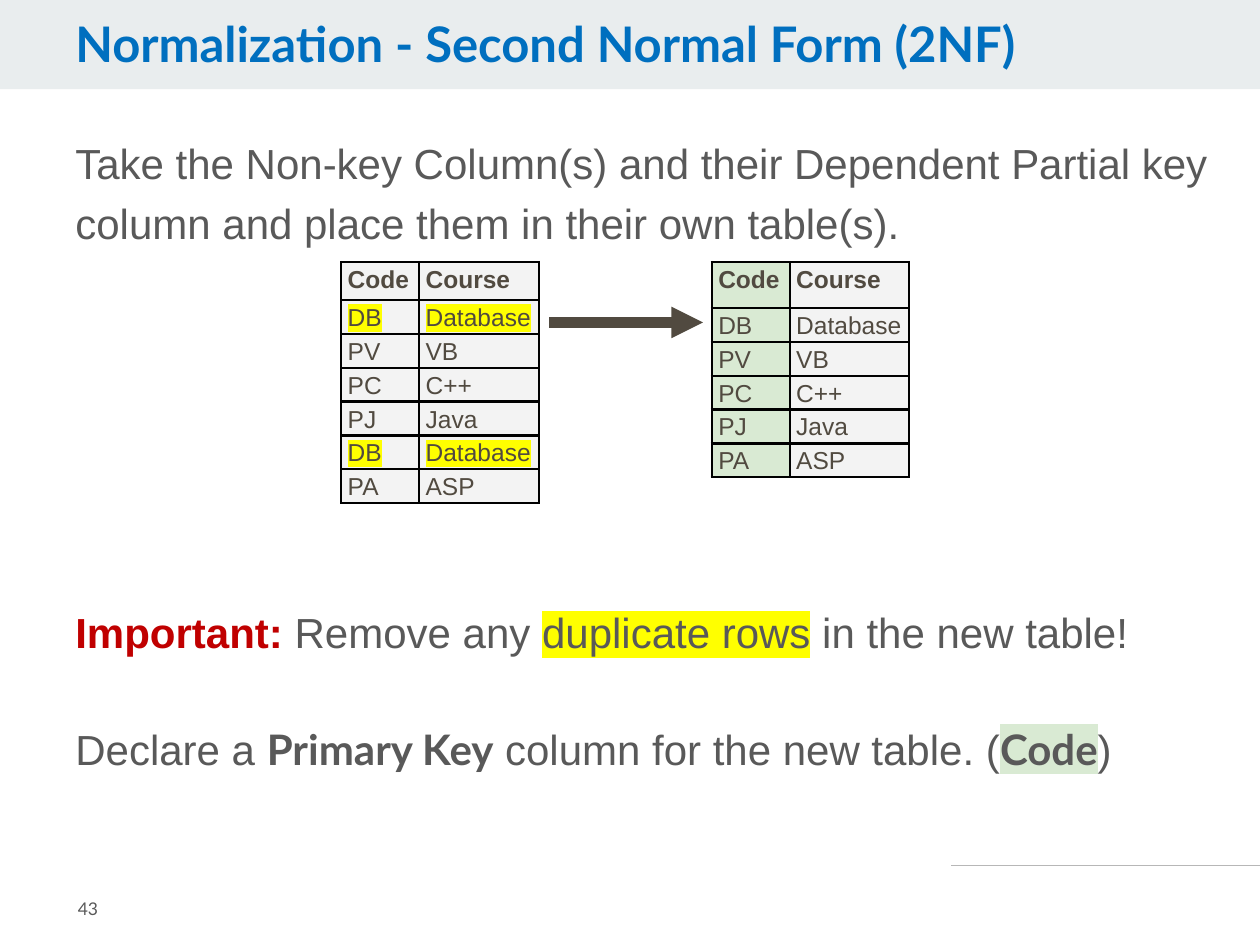
import pptx
import pptx.dml.color
import pptx.enum.shapes
import pptx.enum.text
import pptx.util
from lxml import etree
from pptx.oxml.ns import qn
from pptx.util import Cm, Pt

BLUE, GREY, RED, BROWN = "006FBF", "595959", "C00000", "514A40"
YELLOW, GREEN, CELL_GREY = "FFFF00", "D9EAD3", "F3F3F3"
COLUMN_WIDTHS = (1.57, 2.41)
ROW_HEIGHT = 0.64


def color(hex_value):
    return pptx.dml.color.RGBColor.from_string(hex_value)


def set_font(font, name=None, size=None, hex_value=None, bold=None):
    if name:
        font.name = name
    if size:
        font.size = Pt(size)
    if hex_value:
        font.color.rgb = color(hex_value)
    if bold is not None:
        font.bold = bold


def add_run(paragraph, text, highlight=None, **font):
    run = paragraph.add_run()
    run.text = text
    if highlight:
        mark = etree.Element(qn("a:highlight"))
        etree.SubElement(mark, qn("a:srgbClr"), val=highlight)
        run.font._element.insert(0, mark)
    set_font(run.font, **font)


def add_text_frame(slide, left, top, width, height, margin=0.13):
    """Add a wrapping text box; lengths in cm."""
    box = slide.shapes.add_textbox(Cm(left), Cm(top), Cm(width), Cm(height))
    frame = box.text_frame
    frame.word_wrap = True
    frame.margin_left = frame.margin_right = Cm(0.25)
    frame.margin_top = frame.margin_bottom = Cm(margin)
    return frame


def add_line(slide, left, top, width, hex_value, weight, arrow=False):
    line = slide.shapes.add_connector(
        pptx.enum.shapes.MSO_CONNECTOR.STRAIGHT,
        Cm(left), Cm(top), Cm(left + width), Cm(top))
    line.line.color.rgb = color(hex_value)
    line.line.width = Pt(weight)
    if arrow:
        etree.SubElement(line.line._get_or_add_ln(), qn("a:tailEnd"), type="triangle")
    etree.SubElement(line._element.spPr, qn("a:effectLst"))


def add_header(slide, left, top, width, height):
    band = slide.shapes.add_shape(
        pptx.enum.shapes.MSO_SHAPE.RECTANGLE, Cm(left), Cm(top), Cm(width), Cm(height))
    band.shadow.inherit = False
    band.fill.solid()
    band.fill.fore_color.rgb = color("E9EDEE")
    band.line.fill.background()
    title = add_text_frame(slide, left + 1.27, top + 0.28, 20, 1.4).paragraphs[0]
    title.line_spacing = 0.9
    set_font(title.font, "Lato", 28, BLUE, True)
    add_run(title, "Normalization - Second Normal Form (2NF)")


def add_body(slide, left, top, width, height):
    """Add the three statements, leaving room for the tables after the first."""
    lato = {"name": "Lato", "bold": True}
    statements = [
        (0, [("Take the Non-key Column(s) and their Dependent Partial key "
              "column and place them in their own table(s).", {})]),
        (199, [("Important: ", {"hex_value": RED, "bold": True}),
               ("Remove any ", {}),
               ("duplicate rows", {"highlight": YELLOW}),
               (" in the new table!", {})]),
        (32, [("Declare a ", {}),
              ("Primary Key", lato),
              (" column for the new table. (", {}),
              ("Code", {**lato, "highlight": GREEN}),
              (")", {})]),
    ]
    frame = add_text_frame(slide, left, top, width, height)
    for index, (space, runs) in enumerate(statements):
        paragraph = frame.add_paragraph() if index else frame.paragraphs[0]
        paragraph.line_spacing = 1.2
        if space:
            paragraph.space_before = Pt(space)
        set_font(paragraph.font, "Arial", 24, GREY)
        for text, style in runs:
            add_run(paragraph, text, **style)


def add_borders(cell):
    properties = cell._tc.get_or_add_tcPr()
    for side in ("lnL", "lnR", "lnT", "lnB"):
        border = etree.SubElement(properties, qn(f"a:{side}"), w=str(Pt(1.5)))
        fill = etree.SubElement(border, qn("a:solidFill"))
        etree.SubElement(fill, qn("a:srgbClr"), val="000000")


def add_course_table(slide, left, top, header_height, courses, key_fill, marked=()):
    """Add a Code/Course table, highlighting rows whose code is in marked."""
    rows = [("Code", "Course")] + courses
    heights = [header_height] + [ROW_HEIGHT] * len(courses)
    table = slide.shapes.add_table(
        len(rows), 2, Cm(left), Cm(top), Cm(sum(COLUMN_WIDTHS)), Cm(sum(heights))).table
    table.first_row = table.horz_banding = False
    for column, width in zip(table.columns, COLUMN_WIDTHS):
        column.width = Cm(width)
    for row_index, values in enumerate(rows):
        table.rows[row_index].height = Cm(heights[row_index])
        for column_index, text in enumerate(values):
            cell = table.cell(row_index, column_index)
            cell.margin_left = Cm(0.13)
            cell.margin_right = cell.margin_top = cell.margin_bottom = 0
            add_borders(cell)
            cell.fill.solid()
            cell.fill.fore_color.rgb = color(CELL_GREY if column_index else key_fill)
            paragraph = cell.text_frame.paragraphs[0]
            paragraph.line_spacing = 1.15
            set_font(paragraph.font, "Arial", 14, BROWN, row_index == 0)
            add_run(paragraph, text, YELLOW if values[0] in marked else None)


def add_tables(slide, left, top):
    """Add the table with duplicates, the arrow and the table without them."""
    unique = [("DB", "Database"), ("PV", "VB"), ("PC", "C++"), ("PJ", "Java"), ("PA", "ASP")]
    repeated = unique[:4] + [unique[0], unique[4]]
    add_course_table(slide, left, top, 0.77, repeated, CELL_GREY, marked=("DB",))
    add_course_table(slide, left + 7.47, top, 0.93, unique, GREEN)
    add_line(slide, left + 4.19, top + 1.22, 3.1, BROWN, 6, arrow=True)


def add_footer(slide, left, top, width):
    add_line(slide, left + width - 6.22, top, 6.22, "B7B7B7", 0.75)
    frame = add_text_frame(slide, left + 1.32, top + 0.15, 3.12, 1.45, margin=0.25)
    frame.vertical_anchor = pptx.enum.text.MSO_ANCHOR.MIDDLE
    paragraph = frame.paragraphs[0]
    set_font(paragraph.font, "Lato", 10, GREY)
    add_run(paragraph, "43")


def main():
    presentation = pptx.Presentation()
    presentation.slide_width = Cm(25.4)
    presentation.slide_height = Cm(19.05)
    slide = presentation.slides.add_slide(presentation.slide_layouts[6])
    add_header(slide, 0, 0, 25.4, 1.8)
    add_body(slide, 1.27, 2.44, 23.93, 13.77)
    add_tables(slide, 6.88, 5.28)
    add_footer(slide, 0, 17.45, 25.4)
    presentation.save("out.pptx")


if __name__ == "__main__":
    main()
